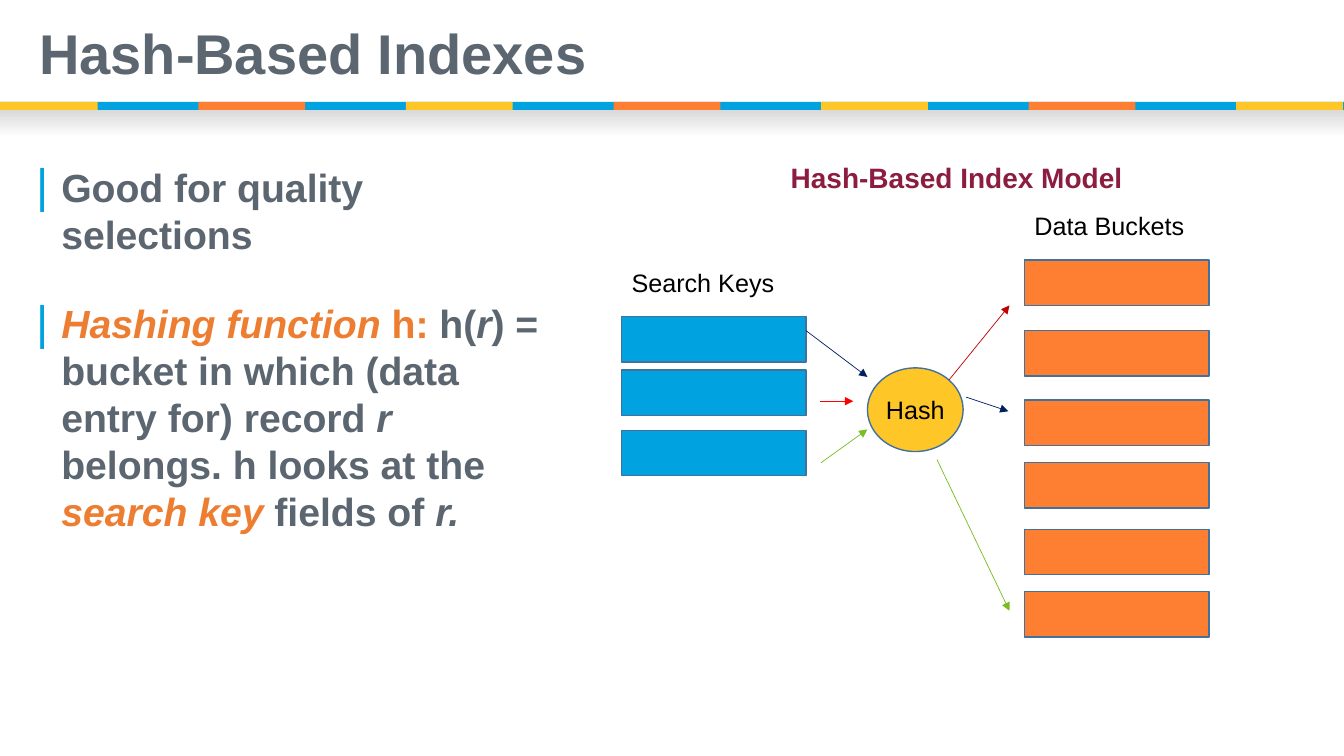
from lxml import etree
from pptx import Presentation
from pptx.dml.color import RGBColor
from pptx.enum import shapes, text
from pptx.oxml import ns
from pptx.util import Pt

PX = 9144  # EMU per px, 100 px to the inch
GREY = RGBColor(0x5C, 0x66, 0x70)
RUST = RGBColor(0xED, 0x7D, 0x31)
BLUE = RGBColor(0x00, 0xA2, 0xE0)
GOLD = RGBColor(0xFF, 0xC6, 0x27)
ORANGE = RGBColor(0xFF, 0x7F, 0x32)
STEEL = RGBColor(0x41, 0x71, 0x9C)
MAROON = RGBColor(0x8C, 0x1D, 0x40)
NAVY = RGBColor(0x00, 0x20, 0x60)
RED = RGBColor(0xFF, 0x00, 0x00)
GREEN = RGBColor(0x78, 0xBE, 0x20)
DARK = RGBColor(0xC0, 0x00, 0x00)
BLACK = RGBColor(0x00, 0x00, 0x00)
PALE = RGBColor(0xD9, 0xD9, 0xD9)
WHITE = RGBColor(0xFF, 0xFF, 0xFF)

RECT = shapes.MSO_SHAPE.RECTANGLE
OVAL = shapes.MSO_SHAPE.OVAL
LEFT, MID = text.PP_ALIGN.LEFT, text.PP_ALIGN.CENTER


def emu(*vals):
    return [v * PX for v in vals]


def put(obj, **vals):
    for key, val in vals.items():
        setattr(obj, key, val)


def add_run(para, words, size, color, bold=False, italic=False):
    run = para.add_run()
    run.text = words
    put(run.font, name="Arial", size=Pt(size), bold=bold, italic=italic)
    run.font.color.rgb = color


def add_box(slide, kind, box, fill, line=None):
    shape = slide.shapes.add_shape(kind, *emu(*box))
    shape.shadow.inherit = False
    shape.fill.solid()
    shape.fill.fore_color.rgb = fill
    if line is None:
        shape.line.fill.background()
    else:
        shape.line.color.rgb = line
        shape.line.width = Pt(1)
    return shape


def add_text(slide, box):
    frame = slide.shapes.add_textbox(*emu(*box)).text_frame
    frame.word_wrap = True
    return frame


def add_label(slide, box, words, size=18, color=BLACK, bold=False, align=LEFT):
    para = add_text(slide, box).paragraphs[0]
    para.alignment = align
    add_run(para, words, size, color, bold)


def add_arrow(slide, ends, color):
    line = slide.shapes.add_connector(shapes.MSO_CONNECTOR.STRAIGHT, *emu(*ends))
    line.line.color.rgb = color
    line.line.width = Pt(0.5)
    etree.SubElement(line.line._get_or_add_ln(), ns.qn("a:tailEnd"), type="triangle")
    etree.SubElement(line._element.spPr, ns.qn("a:effectLst"))


def add_bullet(para):
    props = para._p.get_or_add_pPr()
    props.set("marL", str(25 * PX))
    props.set("indent", str(-25 * PX))
    tint = etree.SubElement(props, ns.qn("a:buClr"))
    etree.SubElement(tint, ns.qn("a:srgbClr"), val=str(BLUE))
    etree.SubElement(props, ns.qn("a:buSzPct"), val="120000")
    etree.SubElement(props, ns.qn("a:buFont"), typeface="Arial")
    etree.SubElement(props, ns.qn("a:buChar"), char="|")


def draw_band(slide, box):
    x, y, w, h = box
    # Soft shade below the band
    shade = add_box(slide, RECT, (x, y + h, w, 27), PALE)
    shade.fill.gradient()
    shade.fill.gradient_angle = 270
    for stop, color in zip(shade.fill.gradient_stops, (PALE, WHITE)):
        stop.color.rgb = color
    # Blue band with gold and orange stripes in turn
    add_box(slide, RECT, box, BLUE)
    add_box(slide, RECT, (x, y, 97, h), GOLD)
    for i in range(6):
        fill = GOLD if i % 2 else ORANGE
        add_box(slide, RECT, (x + 197 + 206 * i, y, 106, h), fill)


def draw_title(slide, box, words):
    title = slide.shapes.title
    put(title, **dict(zip(("left", "top", "width", "height"), emu(*box))))
    frame = title.text_frame
    put(frame, word_wrap=True, auto_size=text.MSO_AUTO_SIZE.NONE,
        vertical_anchor=text.MSO_ANCHOR.MIDDLE)
    para = frame.paragraphs[0]
    put(para, alignment=LEFT, line_spacing=0.9)
    add_run(para, words, 40, GREY, True)


def draw_points(slide, box, points):
    frame = add_text(slide, box)
    for i, parts in enumerate(points):
        para = frame.add_paragraph() if i else frame.paragraphs[0]
        add_bullet(para)
        put(para, space_before=Pt(24 if i else 0), space_after=Pt(6))
        for words, color, italic in parts:
            add_run(para, words, 28, color, True, italic)


def draw_model(slide, box):
    x, y, w, h = box
    add_label(slide, (x, y, w, 50), "Hash-Based Index Model", 20, MAROON, True, MID)

    # Search keys and data buckets
    stacks = (
        ("Search Keys", 20, 106, BLUE, (160, 213, 273)),
        ("Data Buckets", 420, 50, ORANGE, (104, 174, 243, 305, 371, 433)),
    )
    for words, dx, dy, fill, tops in stacks:
        add_label(slide, (x + dx, y + dy, 183, 40), words)
        for top in tops:
            add_box(slide, RECT, (x + dx, y + top, 183, 45), fill, STEEL)

    # Hash function
    node = add_box(slide, OVAL, (x + 264, y + 211, 95, 83), GOLD, STEEL)
    put(node.text_frame, margin_left=0, margin_right=0, word_wrap=False,
        vertical_anchor=text.MSO_ANCHOR.MIDDLE)
    para = node.text_frame.paragraphs[0]
    para.alignment = MID
    add_run(para, "Hash", 18, BLACK)

    # Arrows from keys to hash, then from hash to buckets
    arrows = (
        (203, 174, 264, 220, NAVY),
        (217, 244, 250, 244, RED),
        (218, 305, 264, 272, GREEN),
        (345, 223, 405, 149, DARK),
        (362, 240, 404, 254, NAVY),
        (333, 302, 405, 452, GREEN),
    )
    for x1, y1, x2, y2, color in arrows:
        add_arrow(slide, (x + x1, y + y1, x + x2, y + y2), color)


def main():
    deck = Presentation()
    put(deck, slide_width=1334 * PX, slide_height=750 * PX)
    slide = deck.slides.add_slide(deck.slide_layouts[5])
    points = (
        (("Good for quality selections", GREY, False),),
        (
            ("Hashing function ", RUST, True),
            ("h: ", RUST, False),
            ("h(", GREY, False),
            ("r", GREY, True),
            (") = bucket in which (data entry for) record ", GREY, False),
            ("r", GREY, True),
            (" belongs. h looks at the ", GREY, False),
            ("search key", RUST, True),
            (" fields of ", GREY, False),
            ("r.", GREY, True),
        ),
    )
    draw_band(slide, (0, 101, 1334, 8))
    draw_title(slide, (29, 20, 1291, 71), "Hash-Based Indexes")
    draw_points(slide, (26, 157, 539, 505), points)
    draw_model(slide, (597, 154, 705, 478))
    deck.save("out.pptx")


if __name__ == "__main__":
    main()
